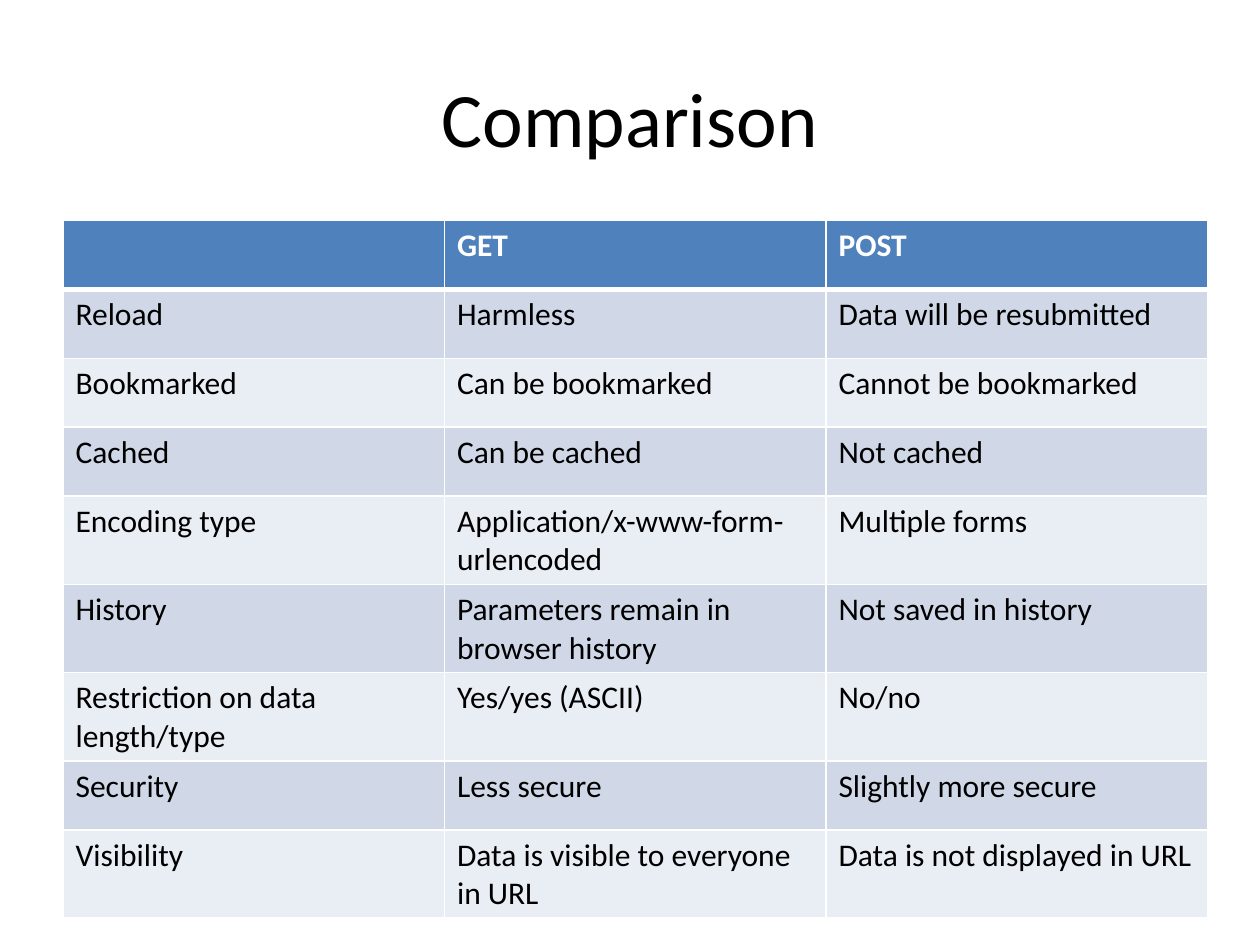
from dataclasses import dataclass

from lxml.etree import SubElement
from pptx import Presentation
from pptx.dml.color import RGBColor as RGB
from pptx.enum.text import MSO_ANCHOR as Anchor, PP_ALIGN as Align
from pptx.oxml.ns import qn
from pptx.util import Pt


@dataclass(frozen=True)
class Theme:
    font: str = "Calibri"
    title_size: int = 44
    table_size: int = 18
    ink: str = "000000"
    paper: str = "FFFFFF"
    header: str = "4F81BD"
    bands: tuple = ("D0D8E8", "E9EDF4")
    rule: int = 1
    header_rule: int = 3


ROWS = [
    ("", "GET", "POST"),
    ("Reload", "Harmless", "Data will be resubmitted"),
    ("Bookmarked", "Can be bookmarked", "Cannot be bookmarked"),
    ("Cached", "Can be cached", "Not cached"),
    ("Encoding type", "Application/x-www-form-urlencoded", "Multiple forms"),
    ("History", "Parameters remain in browser history", "Not saved in history"),
    ("Restriction on data length/type", "Yes/yes (ASCII)", "No/no"),
    ("Security", "Less secure", "Slightly more secure"),
    ("Visibility", "Data is visible to everyone in URL", "Data is not displayed in URL"),
]


class SlideBuilder:
    def __init__(self, slide, theme):
        self.slide = slide
        self.theme = theme

    def add_words(self, paragraph, words, size, color, bold=False):
        run = paragraph.add_run()
        run.text = words
        run.font.name = self.theme.font
        run.font.size = Pt(size)
        run.font.bold = bold
        run.font.color.rgb = RGB.from_string(color)

    def title(self, words, left, top, width, height):
        box = self.slide.shapes.add_textbox(Pt(left), Pt(top), Pt(width), Pt(height))
        frame = box.text_frame
        frame.word_wrap = True
        frame.vertical_anchor = Anchor.MIDDLE
        heading = frame.paragraphs[0]
        heading.alignment = Align.CENTER
        self.add_words(heading, words, self.theme.title_size, self.theme.ink)

    def borders(self, cell, **widths):
        """Draw the cell's edges; must run before its fill is set."""
        properties = cell._tc.get_or_add_tcPr()
        for edge in "LRTB":
            width = widths.get(edge, self.theme.rule)
            line = SubElement(properties, qn(f"a:ln{edge}"), w=str(Pt(width)))
            fill = SubElement(line, qn("a:solidFill"))
            SubElement(fill, qn("a:srgbClr"), val=self.theme.paper)

    def table(self, rows, left, top, column_width, row_height):
        theme = self.theme
        columns = len(rows[0])
        grid = self.slide.shapes.add_table(
            len(rows), columns, Pt(left), Pt(top),
            Pt(column_width * columns), Pt(row_height * len(rows))).table
        for column in grid.columns:
            column.width = Pt(column_width)
        for r, entries in enumerate(rows):
            grid.rows[r].height = Pt(row_height)
            is_header = r == 0
            background = theme.header if is_header else theme.bands[(r - 1) % 2]
            color = theme.paper if is_header else theme.ink
            heavy = {0: {"B": theme.header_rule}, 1: {"T": theme.header_rule}}.get(r, {})
            for c, words in enumerate(entries):
                cell = grid.cell(r, c)
                self.borders(cell, **heavy)
                cell.fill.solid()
                cell.fill.fore_color.rgb = RGB.from_string(background)
                if words:
                    self.add_words(cell.text_frame.paragraphs[0], words,
                                   theme.table_size, color, is_header)


def main():
    deck = Presentation()
    deck.slide_width, deck.slide_height = Pt(720), Pt(540)
    builder = SlideBuilder(deck.slides.add_slide(deck.slide_layouts[6]), Theme())
    builder.title("Comparison", 36, 21.6, 648, 90)
    builder.table(ROWS, 36, 126, column_width=218, row_height=39.4)
    deck.save("out.pptx")


if __name__ == "__main__":
    main()
